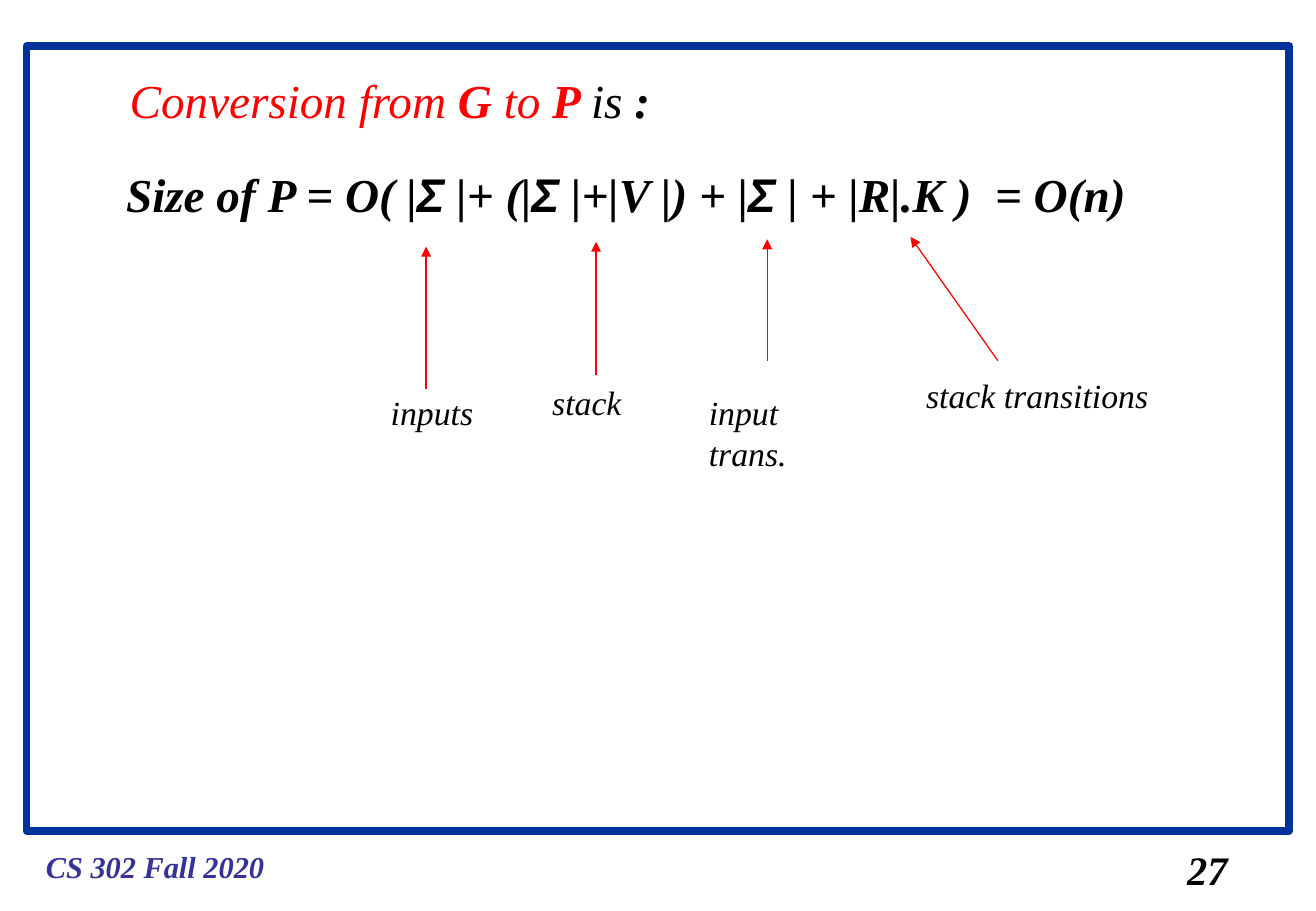
from pptx import Presentation
from pptx.util import Inches, Pt
from pptx.dml.color import RGBColor
from pptx.enum.shapes import MSO_SHAPE as Shape, MSO_CONNECTOR as Link
from pptx.enum.text import MSO_AUTO_SIZE as Fit
from pptx.oxml.ns import qn
from lxml.etree import SubElement as sub

SERIF, SANS = "Times New Roman", "Arial"
BLACK, RED, BLUE, NAVY = "000000", "FF0000", "003399", "333399"


def tint(code):
    """Turn a hex string into a colour."""
    return RGBColor.from_string(code)


def write(slide, box, text, size=20, color=BLACK, bold=False):
    """Add an italic line; text is a string or a list of (text, format) runs."""
    shape = slide.shapes.add_textbox(*map(Inches, box))
    frame = shape.text_frame
    frame.word_wrap = False
    frame.auto_size = Fit.SHAPE_TO_FIT_TEXT
    para = frame.paragraphs[0]
    for part, form in [(text, {})] if isinstance(text, str) else text:
        run = para.add_run()
        run.text = part
        font = run.font
        font.size, font.italic = Pt(size), True
        font.name = form.get("face", SERIF)
        font.bold = form.get("bold", bold)
        font.color.rgb = tint(form.get("color", color))


def arrow(slide, start, end):
    """Draw a thin red arrow from start to end."""
    line = slide.shapes.add_connector(Link.STRAIGHT, *map(Inches, start + end))
    line.line.color.rgb = tint(RED)
    line.line.width = Pt(0.75)
    sub(line.line._get_or_add_ln(), qn("a:tailEnd"), type="triangle")
    sub(line._element.spPr, qn("a:effectLst"))


def border(slide, box):
    """Draw the page border with the course and page number below it."""
    left, top, width, height = box
    rect = slide.shapes.add_shape(Shape.RECTANGLE, *map(Inches, box))
    rect.shadow.inherit = False
    rect.fill.background()
    rect.line.color.rgb = tint(BLUE)
    rect.line.width = Pt(4.5)
    base = top + height
    write(slide, (left + 0.06, base + 0.09, 2, 0.4), "CS 302 Fall 2020",
          size=18, color=NAVY, bold=True)
    write(slide, (left + width - 0.94, base + 0.07, 0.53, 0.5), "27",
          size=24, bold=True)


def title(slide, box):
    """Write the heading with its grammar and automaton names in bold."""
    strong = {"bold": True}
    write(slide, box, [
        ("Conversion from ", {}), ("G", strong), (" to ", {}), ("P ", strong),
        ("is", {"color": BLACK}), (" :", {"color": BLACK, "bold": True}),
    ], size=28, color=RED)


def formula(slide, box):
    """Write the size formula and label its terms with arrows."""
    left, top, width, height = box
    terms = "Size of P = O( |Σ |+ (|Σ |+|V |) + |Σ | + |R|.K )  = O(n)".split("Σ")
    runs = [(terms[0], {})]
    for term in terms[1:]:
        runs += [("Σ", {"face": SANS}), (term, {})]
    write(slide, box, runs, size=28, bold=True)
    notes = [
        ("inputs", (2.18, 1.87, 0.88), (2.57, 1.89), (2.57, 0.72)),
        ("stack", (3.51, 1.78, 0.77), (3.97, 1.78), (3.97, 0.68)),
        ("input trans.", (4.8, 1.87, 1.48), (5.38, 1.66), (5.38, 0.66)),
        ("stack transitions", (6.59, 1.73, 2.03), (7.28, 1.66), (6.56, 0.64)),
    ]
    for text, (x, y, wide), start, end in notes:
        write(slide, (left + x, top + y, wide, 0.44), text)
        arrow(slide, *[(left + a, top + b) for a, b in (start, end)])


def main():
    """Build the slide and save it."""
    deck = Presentation()
    deck.slide_width, deck.slide_height = Inches(10.84), Inches(7.5)
    slide = deck.slides.add_slide(deck.slide_layouts[6])
    border(slide, (0.22, 0.38, 10.4, 6.46))
    title(slide, (0.97, 0.54, 4.51, 0.57))
    formula(slide, (0.94, 1.31, 8.45, 0.57))
    deck.save("out.pptx")


if __name__ == "__main__":
    main()
